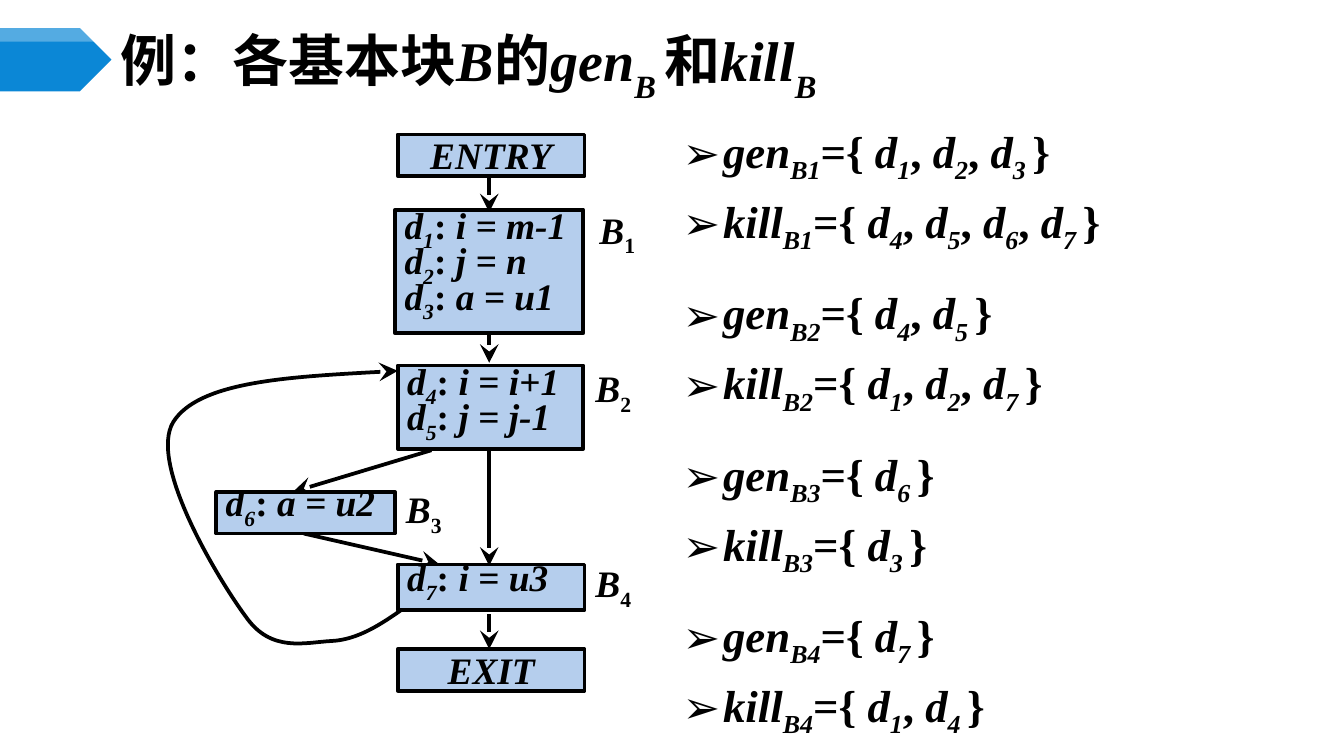
import pptx
import pptx.util
import pptx.dml.color
import pptx.enum.dml
import pptx.enum.shapes
import pptx.enum.text
import pptx.oxml
import pptx.oxml.ns
from lxml import etree

PX = 9144
BLACK = pptx.dml.color.RGBColor(0x00, 0x00, 0x00)
WHITE = pptx.dml.color.RGBColor(0xFF, 0xFF, 0xFF)
BANNER_BLUE = pptx.dml.color.RGBColor(0x0B, 0x87, 0xD6)
BLOCK_BLUE = pptx.dml.color.RGBColor(0xB5, 0xCE, 0xED)
LATIN = "Times New Roman"
CHINESE = "Noto Sans CJK SC"
SUB = -25000
SHAPE = pptx.enum.shapes.MSO_SHAPE
ANCHOR = pptx.enum.text.MSO_ANCHOR
ALIGN = pptx.enum.text.PP_ALIGN
qn = pptx.oxml.ns.qn


def write_runs(paragraph, size, runs):
    paragraph.font.name = LATIN
    paragraph.font.size = pptx.util.Pt(size)
    paragraph.font.bold = True
    paragraph.font.color.rgb = BLACK
    for text, italic, baseline in runs:
        run = paragraph.add_run()
        run.text = text
        run.font.italic = italic
        if baseline:
            run.font._element.set("baseline", str(baseline))


def set_frame(frame, margins, anchor):
    frame.word_wrap = True
    frame.auto_size = pptx.enum.text.MSO_AUTO_SIZE.NONE
    frame.vertical_anchor = anchor
    (frame.margin_left, frame.margin_top,
     frame.margin_right, frame.margin_bottom) = [m * PX for m in margins]


deck = pptx.Presentation()
deck.slide_width = 1000 * PX
deck.slide_height = deck.slide_width * 9 // 16
slide = deck.slides.add_slide(deck.slide_layouts[1])
shapes = slide.shapes

for top, height, color in [(21, 47, BANNER_BLUE), (21, 10, WHITE)]:
    banner = shapes.add_shape(SHAPE.PENTAGON, 0, top * PX, 83 * PX, height * PX)
    banner.shadow.inherit = False
    banner.fill.solid()
    banner.fill.fore_color.rgb = color
    banner.line.fill.background()
highlight = banner.fill._xPr.find(qn("a:solidFill"))[0]
etree.SubElement(highlight, qn("a:alpha")).set("val", "30000")

title = shapes.title
title.left, title.top, title.width, title.height = [v * PX for v in (83, 29, 867, 39)]
set_frame(title.text_frame, (7, 4, 7, 4), ANCHOR.MIDDLE)
heading = title.text_frame.paragraphs[0]
heading.alignment = ALIGN.LEFT
write_runs(heading, 30, [
    ("例：各基本块", False, 0), ("B", True, 0), ("的", False, 0),
    ("gen", True, 0), ("B ", True, -30000), ("和", False, 0),
    ("kill", True, 0), ("B", True, -30000)])
for run in heading.runs:
    if not run.font.italic:
        run.font.name = CHINESE
        etree.SubElement(run.font._element, qn("a:ea")).set("typeface", CHINESE)

set_list = slide.placeholders[1]
set_list.left, set_list.top, set_list.width, set_list.height = [
    v * PX for v in (501, 88, 406, 477)]
set_frame(set_list.text_frame, (7, 4, 7, 4), ANCHOR.TOP)
block_sets = [("123", "4567"), ("45", "127"), ("6", "3"), ("7", "14")]
for block, gen_kill in enumerate(block_sets, 1):
    for name, definitions in zip(("gen", "kill"), gen_kill):
        first = block == 1 and name == "gen"
        entry = set_list.text_frame.paragraphs[0] if first else set_list.text_frame.add_paragraph()
        entry.space_before = pptx.util.Pt(16.1 if name == "gen" and not first else 4.8)
        runs = [(name, True, 0), (f"B{block}", True, SUB), ("={ ", False, 0)]
        for number in definitions[:-1]:
            runs += [("d", True, 0), (number, True, SUB), (", ", False, 0)]
        runs += [("d", True, 0), (definitions[-1] + " ", True, SUB), ("}", False, 0)]
        write_runs(entry, 24, runs)
        properties = entry._p.get_or_add_pPr()
        properties.set("marL", str(30 * PX))
        properties.set("indent", str(-30 * PX))
        bullet = etree.Element(qn("a:buChar"), char="➢")
        properties.find(qn("a:defRPr")).addprevious(bullet)

flows = []
for x1, y1, x2, y2 in [
        (364, 131, 364, 158), (364, 241, 364, 270), (364, 327, 364, 421),
        (364, 457, 364, 483), (321, 335, 218, 366), (226, 397, 327, 420)]:
    flow = shapes.add_connector(
        pptx.enum.shapes.MSO_CONNECTOR.STRAIGHT, x1 * PX, y1 * PX, x2 * PX, y2 * PX)
    etree.SubElement(flow._element.spPr, qn("a:effectLst"))
    flows.append(flow)

outline = shapes.build_freeform(300, 453, scale=PX)
outline.add_line_segments([
    (283, 465), (266, 476), (247, 477), (227, 478), (202, 486), (183, 459),
    (163, 432), (110, 345), (129, 314), (148, 284), (222, 280), (296, 276)], close=False)
loop_back = outline.convert_to_shape()
loop_back.shadow.inherit = False
loop_back.fill.background()
segments = list(loop_back._element.iter(qn("a:lnTo")))
for start in range(0, len(segments), 3):
    curve = etree.Element(qn("a:cubicBezTo"))
    segments[start].addprevious(curve)
    for segment in segments[start:start + 3]:
        curve.append(segment[0])
        segment.getparent().remove(segment)
flows.append(loop_back)

for flow in flows:
    flow.line.color.rgb = BLACK
    flow.line.width = pptx.util.Pt(2)
    head = etree.SubElement(flow.line._get_or_add_ln(), qn("a:tailEnd"))
    for key, value in [("type", "stealth"), ("w", "lg"), ("len", "lg")]:
        head.set(key, value)

blocks = [
    (296, 100, 139, 31, ANCHOR.BOTTOM, (7, 3, 7, 0), ["ENTRY"]),
    (294, 156, 140, 92, ANCHOR.TOP, (7, 6, 7, 0), ["1i = m-1", "2j = n", "3a = u1"]),
    (296, 272, 138, 62, ANCHOR.TOP, (7, 6, 7, 0), ["4i = i+1", "5j = j-1"]),
    (161, 366, 133, 31, ANCHOR.MIDDLE, (7, 0, 0, 0), ["6a = u2"]),
    (296, 420, 139, 34, ANCHOR.MIDDLE, (7, 0, 0, 0), ["7i = u3"]),
    (296, 483, 139, 31, ANCHOR.BOTTOM, (7, 3, 7, 0), ["EXIT"]),
]
for left, top, width, height, anchor, margins, statements in blocks:
    block = shapes.add_shape(SHAPE.RECTANGLE, left * PX, top * PX, width * PX, height * PX)
    block.shadow.inherit = False
    block.fill.solid()
    block.fill.fore_color.rgb = BLOCK_BLUE
    block.line.color.rgb = BLACK
    block.line.width = pptx.util.Pt(2)
    set_frame(block.text_frame, margins, anchor)
    for index, statement in enumerate(statements):
        line = block.text_frame.add_paragraph() if index else block.text_frame.paragraphs[0]
        if statement[0].isdigit():
            line.alignment = ALIGN.JUSTIFY
            line.line_spacing = pptx.util.Pt(19)
            runs = [("d", True, 0), (statement[0], True, SUB),
                    (": ", False, 0), (statement[1:], True, 0)]
        else:
            line.alignment = ALIGN.CENTER
            line.line_spacing = 0.7
            runs = [(statement, True, 0)]
        write_runs(line, 20, runs)

for number, left, top in [("1", 439, 150), ("2", 436, 268), ("3", 295, 358), ("4", 436, 413)]:
    label = shapes.add_textbox(left * PX, top * PX, 69 * PX, 36 * PX)
    set_frame(label.text_frame, (7, 4, 7, 4), ANCHOR.TOP)
    name = label.text_frame.paragraphs[0]
    name.alignment = ALIGN.JUSTIFY
    write_runs(name, 20, [("B", True, 0), (number, False, SUB)])

deck.save("out.pptx")
